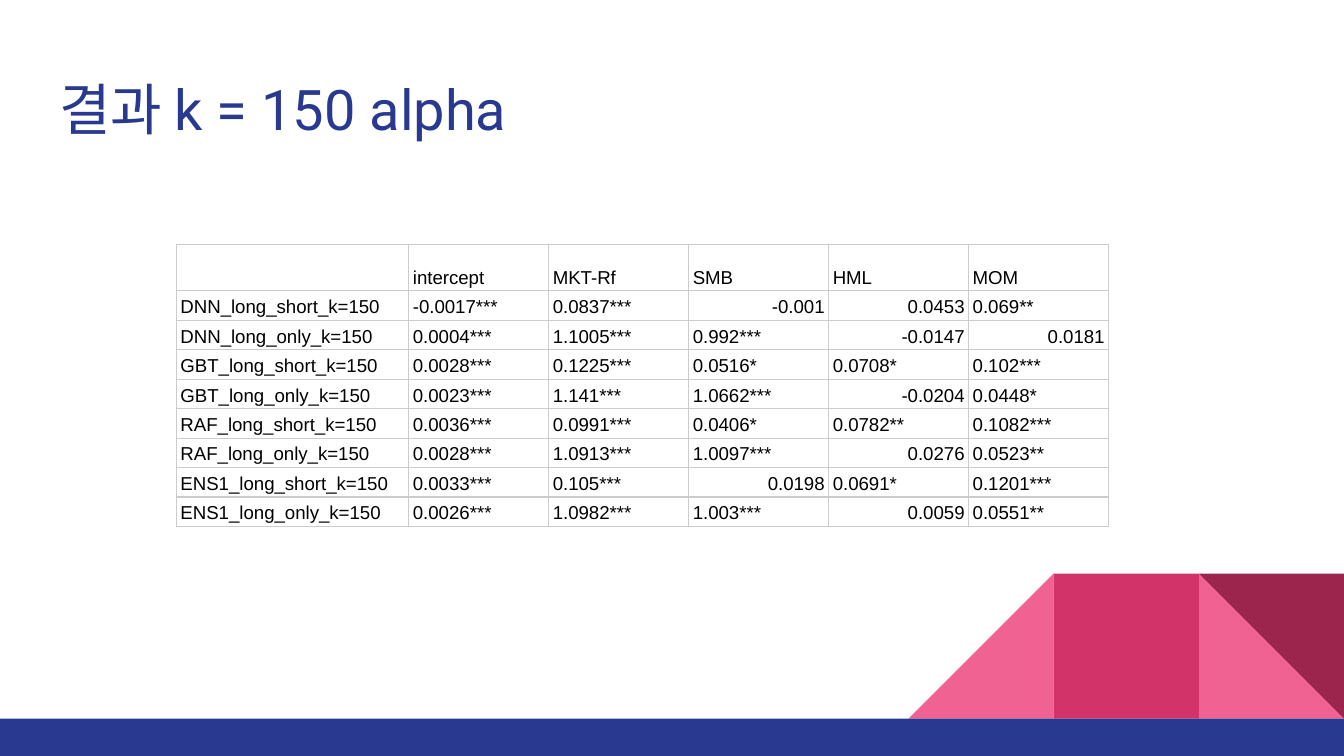
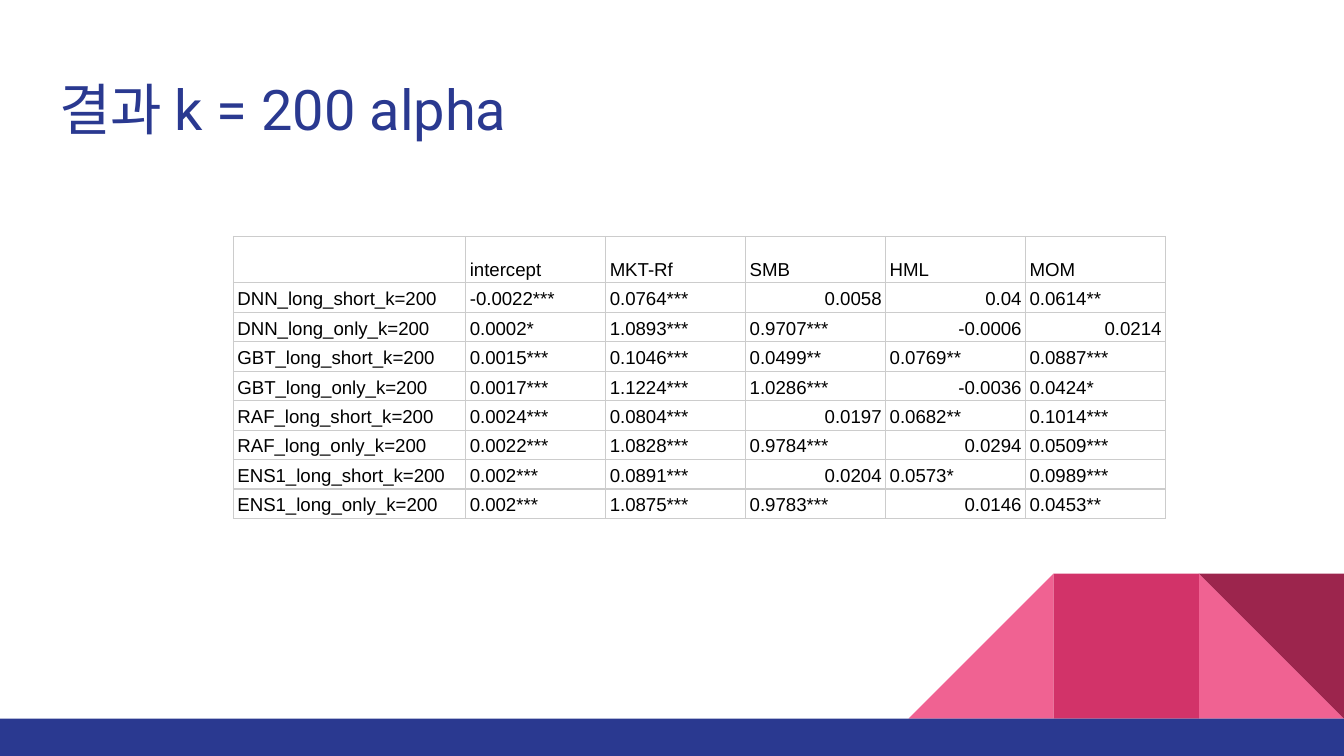
from pptx import Presentation
from pptx.util import Pt
from pptx.dml.color import RGBColor
from pptx.enum.shapes import MSO_SHAPE as Kind
from pptx.enum.text import MSO_ANCHOR as Anchor, PP_ALIGN as Align
from pptx.oxml import parse_xml
from pptx.oxml.ns import nsdecls

# Shared look
WIDE, HIGH = 720, 405
NAVY, PINK, ROSE, WINE = "2A3990", "F06292", "D23369", "9C254D"
BLACK, GREY = "000000", "CCCCCC"
SIDE, BASE = 77.75, 385
HEADS = ["", "intercept", "MKT-Rf", "SMB", "HML", "MOM"]
COLS = [124.5] + [75] * 5
TOP_ROW, ROW = 23, 15.8

# Each page: k, table left, table top, figures by model and strategy
PAGES = [
    (150, 94.5, 131, [
        "-0.0017*** 0.0837*** -0.001 0.0453 0.069**",
        "0.0004*** 1.1005*** 0.992*** -0.0147 0.0181",
        "0.0028*** 0.1225*** 0.0516* 0.0708* 0.102***",
        "0.0023*** 1.141*** 1.0662*** -0.0204 0.0448*",
        "0.0036*** 0.0991*** 0.0406* 0.0782** 0.1082***",
        "0.0028*** 1.0913*** 1.0097*** 0.0276 0.0523**",
        "0.0033*** 0.105*** 0.0198 0.0691* 0.1201***",
        "0.0026*** 1.0982*** 1.003*** 0.0059 0.0551**",
    ]),
    (200, 125, 126.7, [
        "-0.0022*** 0.0764*** 0.0058 0.04 0.0614**",
        "0.0002* 1.0893*** 0.9707*** -0.0006 0.0214",
        "0.0015*** 0.1046*** 0.0499** 0.0769** 0.0887***",
        "0.0017*** 1.1224*** 1.0286*** -0.0036 0.0424*",
        "0.0024*** 0.0804*** 0.0197 0.0682** 0.1014***",
        "0.0022*** 1.0828*** 0.9784*** 0.0294 0.0509***",
        "0.002*** 0.0891*** 0.0204 0.0573* 0.0989***",
        "0.002*** 1.0875*** 0.9783*** 0.0146 0.0453**",
    ]),
]
NAMES = [f"{model}_long_{side}" for model in ("DNN", "GBT", "RAF", "ENS1")
         for side in ("short", "only")]


def color(code):
    return RGBColor.from_string(code)


def write(par, text, font, size, code):
    run = par.add_run()
    run.text = text
    run.font.name = font
    run.font.size = Pt(size)
    run.font.color.rgb = color(code)


deck = Presentation()
deck.slide_width, deck.slide_height = Pt(WIDE), Pt(HIGH)
plan = deck.slide_layouts[5]
slides = [deck.slides.add_slide(plan) for page in PAGES]

# Corner tiles and bottom bar, moved to the shared layout
right, mid, left = [WIDE - n * SIDE for n in (1, 2, 3)]
top = BASE - SIDE
DECOR = [
    (Kind.RIGHT_TRIANGLE, right, top, SIDE, SIDE, PINK, 0, False),
    (Kind.RIGHT_TRIANGLE, left, top, SIDE, SIDE, PINK, 0, True),
    (Kind.RECTANGLE, mid, top, SIDE, SIDE, ROSE, 0, False),
    (Kind.RIGHT_TRIANGLE, right, top, SIDE, SIDE, WINE, 180, False),
    (Kind.RECTANGLE, 0, BASE, WIDE, HIGH - BASE, NAVY, 0, False),
]
for kind, x, y, w, h, code, turn, flip in DECOR:
    tile = slides[0].shapes.add_shape(kind, Pt(x), Pt(y), Pt(w), Pt(h))
    tile.fill.solid()
    tile.fill.fore_color.rgb = color(code)
    tile.line.fill.background()
    tile.shadow.inherit = False
    tile.rotation = turn
    if flip:
        tile.element.spPr.xfrm.set("flipH", "1")
    plan.shapes.element.append(tile.element)

for slide, (k, x, y, data) in zip(slides, PAGES):
    # Title
    title = slide.shapes.title
    title.left, title.top, title.width, title.height = Pt(24.5), Pt(32.5), Pt(671), Pt(47.5)
    frame = title.text_frame
    frame.margin_left = frame.margin_right = Pt(7.2)
    frame.margin_top = frame.margin_bottom = Pt(7.2)
    frame.vertical_anchor = Anchor.TOP
    frame.paragraphs[0].alignment = Align.LEFT
    write(frame.paragraphs[0], f"결과 k = {k} alpha", "Roboto", 30, NAVY)

    # Table of factor loadings
    rows = [HEADS] + [[f"{name}_k={k}"] + line.split() for name, line in zip(NAMES, data)]
    tall = TOP_ROW + ROW * len(data)
    grid = slide.shapes.add_table(len(rows), len(COLS), Pt(x), Pt(y), Pt(sum(COLS)), Pt(tall)).table
    grid.first_row = grid.horz_banding = False
    for col, w in zip(grid.columns, COLS):
        col.width = Pt(w)
    for r, row in enumerate(rows):
        grid.rows[r].height = Pt(ROW if r else TOP_ROW)
        for c, text in enumerate(row):
            cell = grid.cell(r, c)
            cell.margin_left = cell.margin_right = Pt(2.2)
            cell.margin_top = cell.margin_bottom = Pt(1.4)
            cell.vertical_anchor = Anchor.BOTTOM
            for edge in "LRTB":
                cell._tc.get_or_add_tcPr().append(parse_xml(
                    f'<a:ln{edge} {nsdecls("a")} w="{Pt(0.75)}"><a:solidFill>'
                    f'<a:srgbClr val="{GREY}"/></a:solidFill></a:ln{edge}>'))
            cell.fill.background()
            if not text:
                continue
            par = cell.text_frame.paragraphs[0]
            par.line_spacing = 1.15
            # Figures without stars sit on the right
            plain = r and c and "*" not in text
            par.alignment = Align.RIGHT if plain else Align.LEFT
            write(par, text, "Arial", 10, BLACK)

deck.save("out.pptx")
